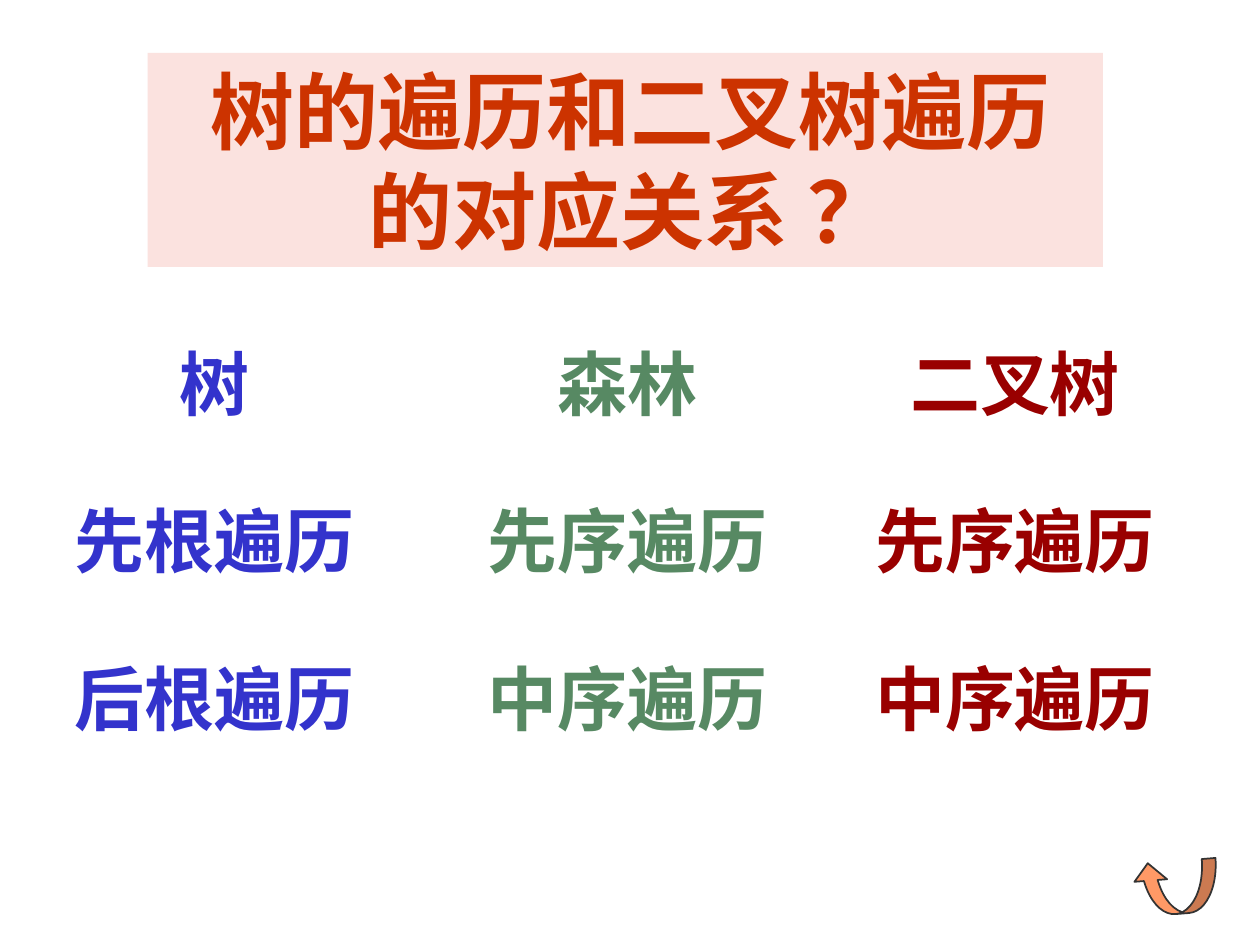
from pptx import Presentation
from pptx.dml.color import RGBColor
from pptx.enum.shapes import MSO_SHAPE as SHAPE
from pptx.enum.text import MSO_ANCHOR as ANCHOR, MSO_AUTO_SIZE as AUTO, PP_ALIGN as ALIGN
from pptx.util import Pt

COLORS = {"title": "CC3300", "title_bg": "FBE2DF", "tree": "3333CC", "forest": "578963",
          "binary": "990000", "arrow": "FF9966", "outline": "333333"}
FONT = "Times New Roman"
COLUMNS = [("tree", 122.5, ["树", "先根遍历", "后根遍历"]),
           ("forest", 358.5, ["森林", "先序遍历", "中序遍历"]),
           ("binary", 580, ["二叉树", "先序遍历", "中序遍历"])]


def rgb(name):
    """Return the named palette colour."""
    return RGBColor.from_string(COLORS[name])


def write(tf, text, *, size, color, wrap=True, left=7.2):
    """Write one bold centred paragraph into a text frame."""
    tf.auto_size = AUTO.NONE
    tf.word_wrap = wrap
    tf.vertical_anchor = ANCHOR.TOP
    tf.margin_left, tf.margin_right = Pt(left), Pt(7.2)
    tf.margin_top = tf.margin_bottom = Pt(3.6)
    p = tf.paragraphs[0]
    p.alignment = ALIGN.CENTER
    r = p.add_run()
    r.text = text
    r.font.name, r.font.size, r.font.bold = FONT, Pt(size), True
    r.font.color.rgb = rgb(color)


def add_title(s, x, y, w, h):
    """Place the title on its tinted panel."""
    sp = s.shapes.title
    sp.left, sp.top, sp.width, sp.height = Pt(x), Pt(y), Pt(w), Pt(h)
    sp.fill.solid()
    sp.fill.fore_color.rgb = rgb("title_bg")
    write(sp.text_frame, "树的遍历和二叉树遍历的对应关系 ？", size=48, color="title", left=13.2)


def add_column(s, center, top, color, labels, size=40, pitch=90):
    """Stack the labels of one structure, centred on a vertical axis."""
    for row, label in enumerate(labels):
        w = size * len(label) + 14.4
        sp = s.shapes.add_textbox(Pt(center - w / 2), Pt(top + row * pitch), Pt(w), Pt(55.4))
        write(sp.text_frame, label, size=size, color=color, wrap=False)


def add_return_arrow(s, x, y, w, h):
    """Draw the curved return arrow."""
    sp = s.shapes.add_shape(SHAPE.CURVED_LEFT_ARROW, Pt(x), Pt(y), Pt(w), Pt(h))
    sp.rotation = 85.5
    for i, value in enumerate((0.26, 0.62, 0.33)):
        sp.adjustments[i] = value
    sp.shadow.inherit = False
    sp.fill.solid()
    sp.fill.fore_color.rgb = rgb("arrow")
    sp.line.color.rgb = rgb("outline")
    sp.line.width = Pt(1)


def main():
    """Build the slide and save it."""
    prs = Presentation()
    prs.slide_width, prs.slide_height = Pt(720), Pt(540)
    s = prs.slides.add_slide(prs.slide_layouts[5])
    add_title(s, 84.4, 30.2, 545.8, 122.4)
    for color, center, labels in COLUMNS:
        add_column(s, center, 190.8, color, labels)
    add_return_arrow(s, 656.6, 483.1, 30.2, 48.2)
    prs.save("out.pptx")


if __name__ == "__main__":
    main()
